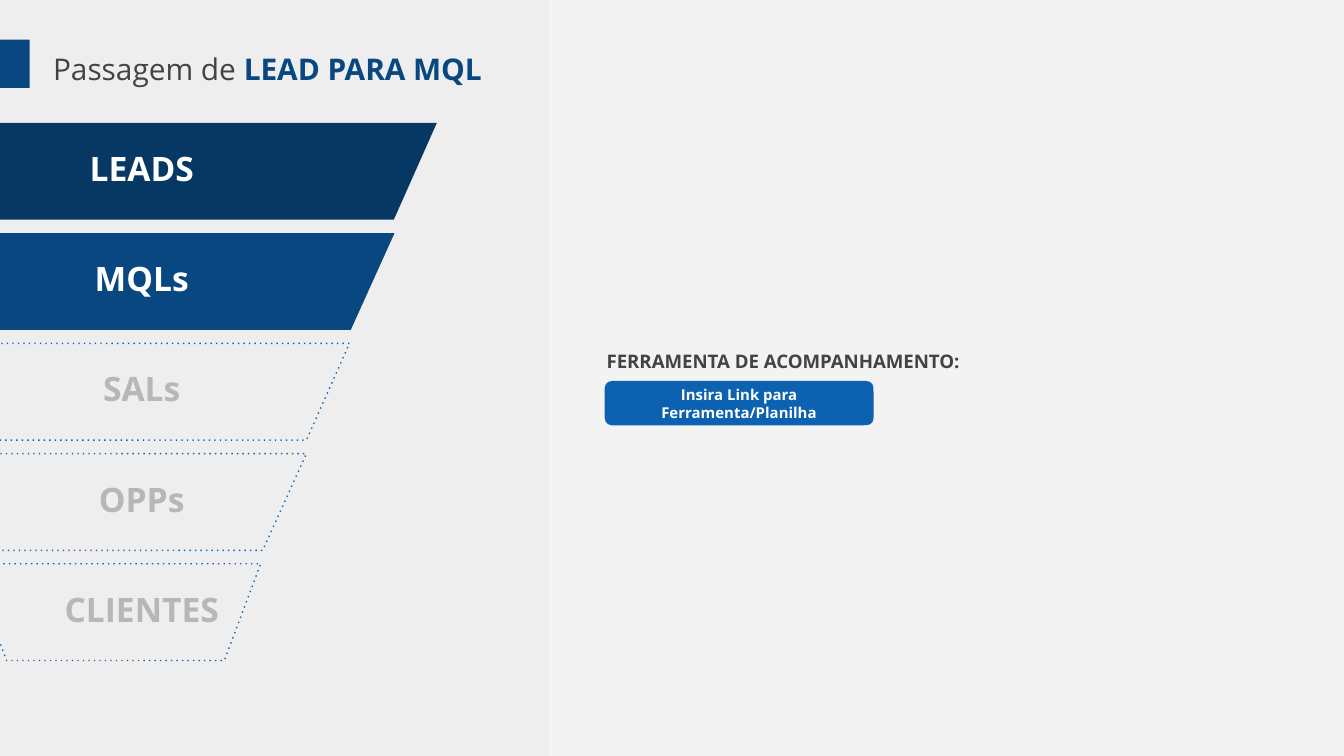
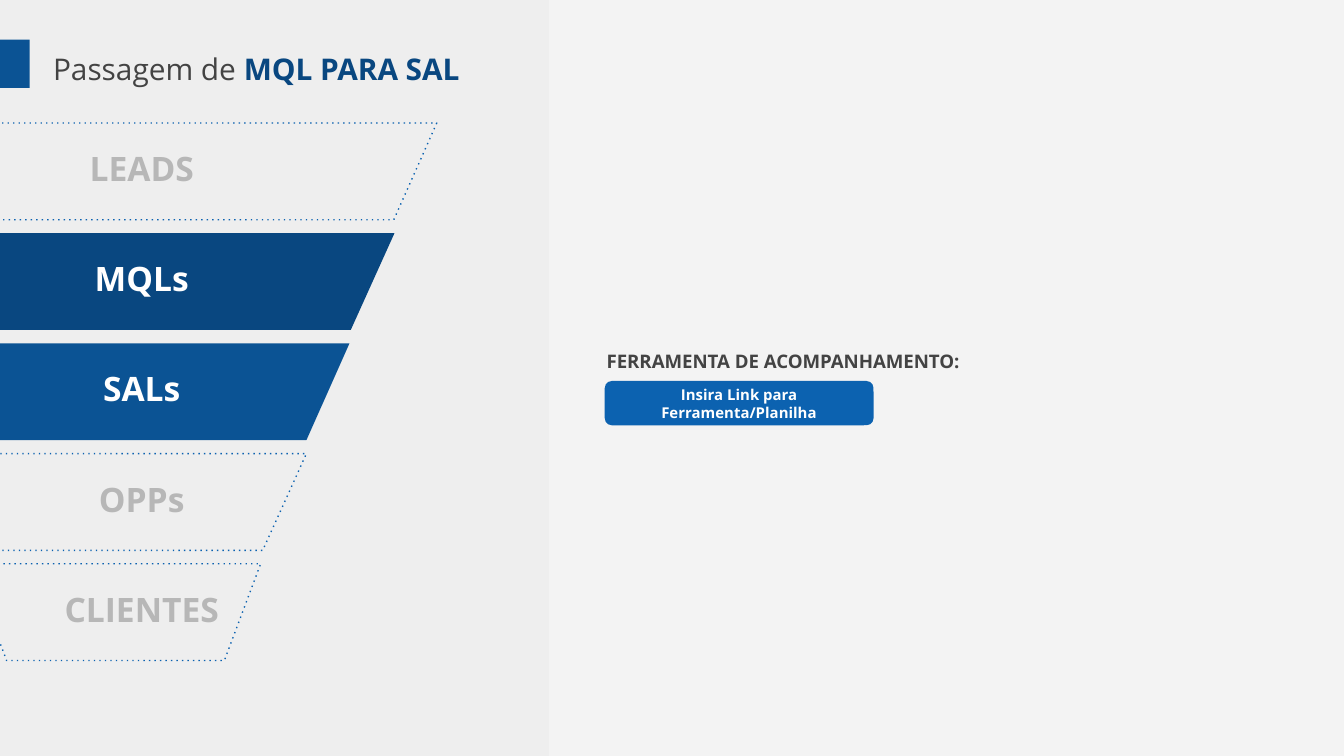
from dataclasses import dataclass

from pptx import Presentation
from pptx.dml.color import RGBColor
from pptx.enum.dml import MSO_LINE_DASH_STYLE as Dash
from pptx.enum.shapes import MSO_AUTO_SHAPE_TYPE as ShapeType
from pptx.enum.text import MSO_ANCHOR as Anchor
from pptx.enum.text import MSO_AUTO_SIZE as AutoSize
from pptx.enum.text import PP_ALIGN as Align
from pptx.oxml.ns import qn
from pptx.shapes.autoshape import Shape
from pptx.slide import Slide, SlideLayout
from pptx.util import Emu, Pt

EMU_PER_PX = 4572
SLIDE_WIDTH, SLIDE_HEIGHT = 2000, 1125
TITLE_ONLY = 5
PANEL_ID = 20

FONT = "Open Sans"
BACKGROUND = RGBColor(0xF3, 0xF3, 0xF3)
PANEL = RGBColor(0xEE, 0xEE, 0xEE)
TEXT = RGBColor(0x43, 0x43, 0x43)
MUTED = RGBColor(0xB7, 0xB7, 0xB7)
WHITE = RGBColor(0xFF, 0xFF, 0xFF)
NAVY = RGBColor(0x07, 0x37, 0x63)
BLUE = RGBColor(0x09, 0x47, 0x80)
MEDIUM_BLUE = RGBColor(0x0B, 0x53, 0x94)
BRIGHT_BLUE = RGBColor(0x0C, 0x62, 0xB0)

FUNNEL_TOP, STAGE_HEIGHT, STAGE_PITCH = 183, 144, 164
LABEL_HEIGHT = 134
TEXT_MARGIN = 20


@dataclass(frozen=True)
class Box:
    left: int
    top: int
    width: int
    height: int

    def emu(self) -> tuple[Emu, Emu, Emu, Emu]:
        return px(self.left), px(self.top), px(self.width), px(self.height)


@dataclass(frozen=True)
class Stage:
    name: str
    left: int
    right: int
    inset: int
    label_left: int = 55
    label_width: int = 312


@dataclass(frozen=True)
class Passage:
    emphasis: str
    active: dict[str, RGBColor]
    marker: RGBColor


STAGES = (
    Stage("LEADS", -300, 650, 64, 89, 244),
    Stage("MQLs", -234, 587, 65),
    Stage("SALs", -170, 520, 64),
    Stage("OPPs", -106, 456, 65),
    Stage("CLIENTES", -44, 388, 54),
)

PASSAGES = (
    Passage(" LEAD PARA MQL", {"LEADS": NAVY, "MQLs": BLUE}, BLUE),
    Passage(" MQL PARA SAL", {"MQLs": BLUE, "SALs": MEDIUM_BLUE}, MEDIUM_BLUE),
)


def px(value: int) -> Emu:
    return Emu(value * EMU_PER_PX)


def format_text(
    shape: Shape,
    size: int,
    color: RGBColor,
    bold: bool = True,
    align: Align = Align.CENTER,
    anchor: Anchor = Anchor.MIDDLE,
    spacing: float = 1.0,
) -> None:
    frame = shape.text_frame
    frame.word_wrap = True
    frame.auto_size = AutoSize.NONE
    frame.vertical_anchor = anchor
    frame.margin_left = frame.margin_right = px(TEXT_MARGIN)
    frame.margin_top = frame.margin_bottom = px(TEXT_MARGIN)
    for paragraph in frame.paragraphs:
        paragraph.alignment = align
        paragraph.line_spacing = spacing
        for run in paragraph.runs:
            run.font.name = FONT
            run.font.size = Pt(size)
            run.font.bold = bold
            run.font.color.rgb = color


def add_block(slide: Slide, kind: ShapeType, box: Box, color: RGBColor) -> Shape:
    shape = slide.shapes.add_shape(kind, *box.emu())
    shape.shadow.inherit = False
    shape.fill.solid()
    shape.fill.fore_color.rgb = color
    shape.line.fill.background()
    return shape


def add_text(slide: Slide, box: Box, text: str) -> Shape:
    shape = slide.shapes.add_textbox(*box.emu())
    shape.text_frame.text = text
    return shape


def add_title(slide: Slide, emphasis: str) -> None:
    title = slide.shapes.title
    title.left, title.top, title.width, title.height = Box(59, 48, 740, 144).emu()
    title.text_frame.text = "Passagem de"
    emphasis_run = title.text_frame.paragraphs[0].add_run()
    emphasis_run.text = emphasis
    format_text(title, 16, TEXT, False, Align.LEFT, Anchor.TOP, 1.15)
    emphasis_run.font.bold = True
    emphasis_run.font.color.rgb = BLUE


def add_stage(slide: Slide, stage: Stage, top: int, active: RGBColor | None) -> None:
    bottom = top + STAGE_HEIGHT
    builder = slide.shapes.build_freeform(stage.left, top, scale=EMU_PER_PX)
    builder.add_line_segments(
        [
            (stage.right, top),
            (stage.right - stage.inset, bottom),
            (stage.left + stage.inset, bottom),
        ]
    )
    shape = builder.convert_to_shape()
    shape.shadow.inherit = False
    shape.fill.solid()
    shape.fill.fore_color.rgb = active or PANEL
    if active:
        shape.line.fill.background()
    else:
        shape.line.color.rgb = BRIGHT_BLUE
        shape.line.width = Pt(0.75)
        shape.line.dash_style = Dash.ROUND_DOT
        shape.element.find(f".//{qn('a:prstDash')}").set("val", "dot")
    label_box = Box(stage.label_left, top, stage.label_width, LABEL_HEIGHT)
    label = add_text(slide, label_box, stage.name)
    format_text(label, 18, WHITE if active else MUTED)


def add_tool_link(slide: Slide) -> None:
    heading = add_text(slide, Box(883, 50, 1016, 958), "FERRAMENTA DE ACOMPANHAMENTO:")
    format_text(heading, 10, TEXT, align=Align.LEFT, spacing=1.5)
    button = add_block(
        slide, ShapeType.ROUNDED_RECTANGLE, Box(900, 567, 400, 66), BRIGHT_BLUE
    )
    button.adjustments[0] = 0.16
    button.text_frame.text = "Insira Link para Ferramenta/Planilha"
    format_text(button, 8, WHITE)


def add_passage(slide: Slide, passage: Passage) -> None:
    add_title(slide, passage.emphasis)
    add_block(slide, ShapeType.RECTANGLE, Box(0, 59, 44, 72), passage.marker)
    for index, stage in enumerate(STAGES):
        top = FUNNEL_TOP + index * STAGE_PITCH
        add_stage(slide, stage, top, passage.active.get(stage.name))
    add_tool_link(slide)


def move_panel_to_layout(slide: Slide, layout: SlideLayout) -> None:
    panel = add_block(slide, ShapeType.RECTANGLE, Box(0, 0, 817, 1134), PANEL)
    panel.element.find(f".//{qn('p:cNvPr')}").set("id", str(PANEL_ID))
    layout.shapes[0].element.addprevious(panel.element)


def main() -> None:
    presentation = Presentation()
    presentation.slide_width = px(SLIDE_WIDTH)
    presentation.slide_height = px(SLIDE_HEIGHT)
    layout = presentation.slide_layouts[TITLE_ONLY]
    layout.background.fill.solid()
    layout.background.fill.fore_color.rgb = BACKGROUND
    slides = [presentation.slides.add_slide(layout) for _ in PASSAGES]
    move_panel_to_layout(slides[0], layout)
    for slide, passage in zip(slides, PASSAGES):
        add_passage(slide, passage)
    presentation.save("out.pptx")


if __name__ == "__main__":
    main()
